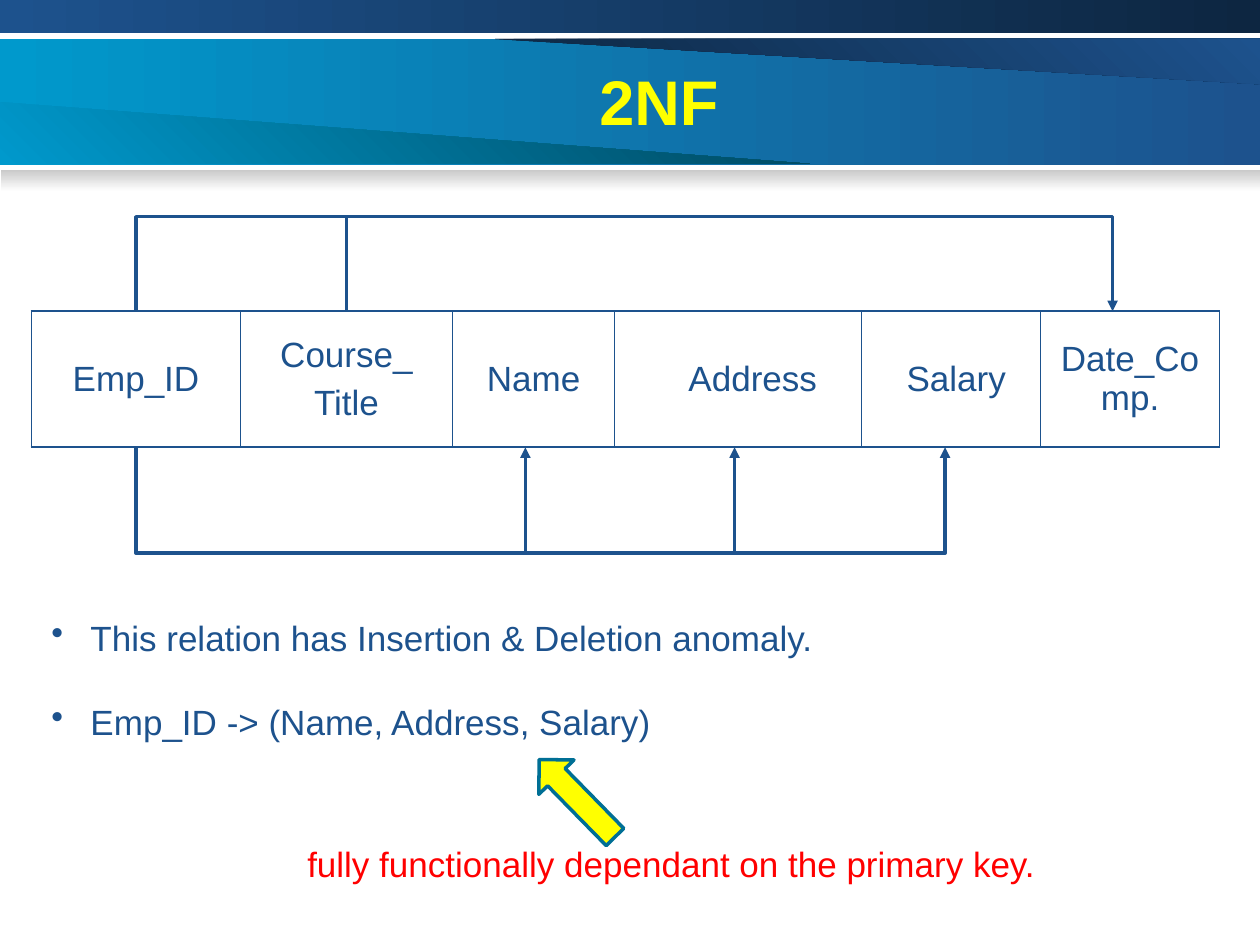
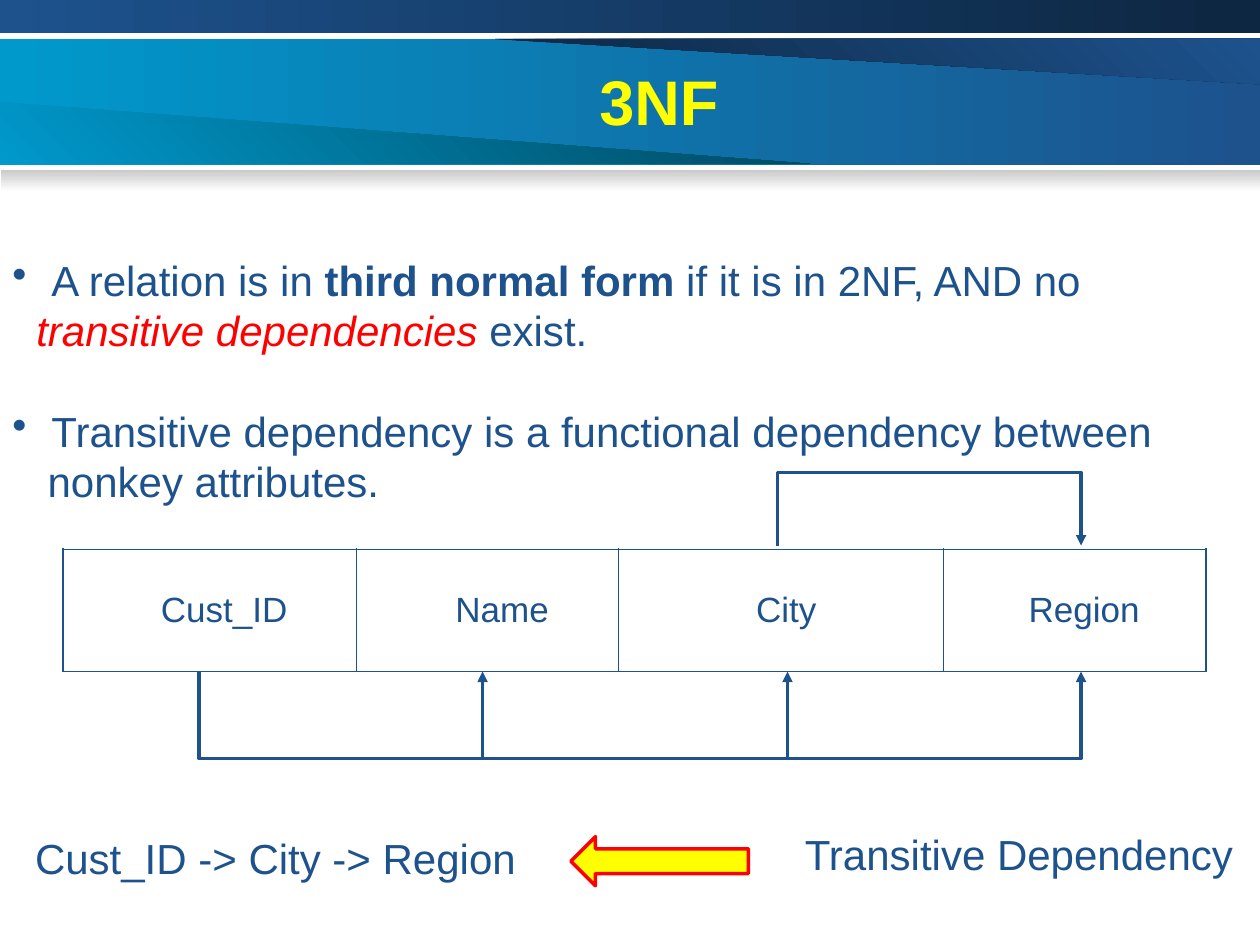
from lxml import etree
from pptx import Presentation
from pptx.dml.color import RGBColor
from pptx.enum.shapes import MSO_CONNECTOR, MSO_SHAPE
from pptx.enum.text import MSO_ANCHOR, PP_ALIGN
from pptx.oxml.ns import qn
from pptx.util import Inches, Pt

RECT, RIGHT_ARROW = MSO_SHAPE.RECTANGLE, MSO_SHAPE.RIGHT_ARROW
STRAIGHT = MSO_CONNECTOR.STRAIGHT
LEFT, CENTER = PP_ALIGN.LEFT, PP_ALIGN.CENTER
MIDDLE = MSO_ANCHOR.MIDDLE

BLUE = RGBColor(0x1D, 0x52, 0x8D)
NAVY = RGBColor(0x0D, 0x26, 0x41)
CYAN = RGBColor(0x00, 0x99, 0xCC)
DEEP_TEAL = RGBColor(0x00, 0x47, 0x5E)
TEAL = RGBColor(0x00, 0x6F, 0x95)
GREY = RGBColor(0xCA, 0xCA, 0xCA)
WHITE = RGBColor(0xFF, 0xFF, 0xFF)
YELLOW = RGBColor(0xFF, 0xFF, 0x00)
RED = RGBColor(0xFF, 0x00, 0x00)

FONT = "Arial"
WIDTH, HEIGHT = 10, 7.5
LINE_SPACING = 1.2
HANG = 0.31          # bullet to text
CELL_GAP = Pt(5)     # between paragraphs of a cell
INSET = 0.1
OUTER, INNER = 1.08, 0.45   # table border widths in points

# Header parts: outline, start colour, end colour, counter-clockwise angle
HEADER_BARS = [
    ((0, 0.31, WIDTH, 1), CYAN, BLUE, 0),
    ((0, 0, WIDTH, 0.26), BLUE, NAVY, 0),
    ((0.01, 1.35, WIDTH - 0.01, 0.17), GREY, WHITE, 270),
]
HEADER_WEDGES = [
    ([(3.93, 0.31), (10, 0.67), (10, 0.31)], NAVY, BLUE, 45),
    ([(0, 1.3), (6.43, 1.3), (0, 0.81)], CYAN, DEEP_TEAL, 45),
]
TITLE_BOX = (0.7, 0.45, 9.06, 0.7)

# Run: (text, colour, style).  Paragraph: (bulleted, indent, blank lines before, runs)
# Cell: (lines, extra left margin).  Route: edge, bar, start, end, taps, taps have heads
SLIDES = [
    {
        "title": "2NF",
        "table": {
            "at": (0.25, 2.47), "height": 1.08,
            "cols": [1.66, 1.68, 1.29, 1.96, 1.42, 1.42],
            "cells": [(["Emp_ID"], 0), (["Course_", "Title"], 0), (["Name"], 0),
                      (["Address"], 0.23), (["Salary"], 0.08), (["Date_Comp."], 0)],
        },
        "routes": [
            (2.47, 1.72, 1.08, 8.83, [2.75], False),
            (3.55, 4.39, 1.08, 7.5, [4.17, 5.83], True),
        ],
        "texts": [
            ((0.31, 4.84, 9.45, 1.1), 20, [
                (True, HANG, 0, [("This relation has Insertion & Deletion anomaly.", BLUE, "")]),
                (True, HANG, 1, [("Emp_ID -> (Name, Address, Salary)", BLUE, "")]),
            ]),
            ((2.34, 6.64, 7.11, 0.44), 20, [
                (False, 0, 0, [("fully functionally dependant on the primary key.", RED, "")]),
            ]),
        ],
        "pointer": ((4.15, 6.14, 0.86, 0.39), 225.6, TEAL),
    },
    {
        "title": "3NF",
        "table": {
            "at": (0.5, 4.36), "height": 0.97,
            "cols": [2.33, 2.08, 2.58, 2.08],
            "cells": [(["Cust_ID"], 0.23), (["Name"], 0.23),
                      (["City"], 0.08), (["Region"], 0.15)],
        },
        "routes": [
            (5.33, 6.02, 1.58, 8.58, [3.83, 6.25], True),
            (4.33, 3.75, 6.17, 8.58, [], True),
        ],
        "texts": [
            ((0, 1.97, 9.92, 2.1), 24, [
                (True, HANG, 0, [("A relation is in ", BLUE, ""),
                                 ("third normal form", BLUE, "b"),
                                 (" if it is in 2NF, AND no", BLUE, "")]),
                (False, 0.19, 0, [("transitive dependencies", RED, "i"),
                                  (" exist.", BLUE, "")]),
                (True, HANG, 1, [("Transitive dependency is a functional dependency between",
                                  BLUE, "")]),
                (False, 0.28, 0, [("nonkey attributes.", BLUE, "")]),
            ]),
            ((0.18, 6.56, 4.1, 0.5), 24, [
                (False, 0, 0, [("Cust_ID -> City -> Region", BLUE, "")]),
            ]),
            ((6.29, 6.53, 3.7, 0.5), 24, [
                (False, 0, 0, [("Transitive Dependency", BLUE, "")]),
            ]),
        ],
        "pointer": ((4.53, 6.64, 1.41, 0.39), 180, RED),
    },
]


def inches(values):
    return [Inches(v) for v in values]


def add_run(p, text, size, color, style=""):
    r = p.add_run()
    r.text = text
    r.font.name = FONT
    r.font.size = Pt(size)
    r.font.color.rgb = color
    r.font.bold = "b" in style
    r.font.italic = "i" in style


def set_bullet(p):
    pPr = p._p.get_or_add_pPr()
    color = etree.SubElement(pPr, qn("a:buClr"))
    etree.SubElement(color, qn("a:srgbClr")).set("val", str(BLUE))
    etree.SubElement(pPr, qn("a:buChar")).set("char", "•")


def add_text(s, box, size, paragraphs, align=LEFT):
    tf = s.shapes.add_textbox(*inches(box)).text_frame
    tf.word_wrap = True
    for i, (bulleted, indent, blank_lines, runs) in enumerate(paragraphs):
        p = tf.add_paragraph() if i else tf.paragraphs[0]
        p.alignment = align
        p.line_spacing = Pt(size * LINE_SPACING)
        if blank_lines:
            p.space_before = Pt(size * LINE_SPACING * blank_lines)
        pPr = p._p.get_or_add_pPr()
        pPr.set("marL", str(Inches(indent)))
        pPr.set("indent", str(-Inches(indent) if bulleted else 0))
        if bulleted:
            set_bullet(p)
        for text, color, style in runs:
            add_run(p, text, size, color, style)


def set_gradient(sp, start, end, angle):
    sp.shadow.inherit = False
    sp.line.fill.background()
    sp.fill.gradient()
    sp.fill.gradient_angle = angle
    for stop, color in zip(sp.fill.gradient_stops, (start, end)):
        stop.color.rgb = color


def add_path(s, points, close):
    first, *rest = [inches(pt) for pt in points]
    builder = s.shapes.build_freeform(*first)
    builder.add_line_segments(rest, close=close)
    sp = builder.convert_to_shape()
    sp.shadow.inherit = False
    return sp


def add_header(s, title):
    band, *strips = HEADER_BARS
    set_gradient(s.shapes.add_shape(RECT, *inches(band[0])), *band[1:])
    for points, *colors in HEADER_WEDGES:
        set_gradient(add_path(s, points, True), *colors)
    for box, *colors in strips:
        set_gradient(s.shapes.add_shape(RECT, *inches(box)), *colors)
    add_text(s, TITLE_BOX, 36, [(False, 0, 0, [(title, YELLOW, "b")])], CENTER)


def set_borders(cell, widths):
    """Draw the left, right, top and bottom borders, widths in points."""
    tcPr = cell._tc.get_or_add_tcPr()
    for i, (side, width) in enumerate(zip("LRTB", widths)):
        ln = etree.Element(qn(f"a:ln{side}"), w=str(Pt(width)))
        fill = etree.SubElement(ln, qn("a:solidFill"))
        etree.SubElement(fill, qn("a:srgbClr")).set("val", str(BLUE))
        tcPr.insert(i, ln)


def add_relation(s, at, height, cols, cells):
    frame = s.shapes.add_table(1, len(cols), *inches((*at, sum(cols), height)))
    table = frame.table
    table.first_row = table.horz_banding = False
    table.rows[0].height = Inches(height)
    last = len(cols) - 1
    for i, (width, (lines, shift)) in enumerate(zip(cols, cells)):
        table.columns[i].width = Inches(width)
        cell = table.cell(0, i)
        cell.fill.solid()
        cell.fill.fore_color.rgb = WHITE
        cell.vertical_anchor = MIDDLE
        cell.margin_left = Inches(INSET + shift)
        set_borders(cell, (INNER if i else OUTER, OUTER if i == last else INNER,
                           OUTER, OUTER))
        for n, line in enumerate(lines):
            p = cell.text_frame.add_paragraph() if n else cell.text_frame.paragraphs[0]
            p.alignment = CENTER
            if n:
                p.space_before = CELL_GAP
            add_run(p, line, 20, BLUE)


def style_line(sp, head):
    sp.line.color.rgb = BLUE
    sp.line.width = Pt(2)
    if head:
        etree.SubElement(sp.line._get_or_add_ln(), qn("a:tailEnd")).set("type", "triangle")


def add_route(s, edge, bar, start, end, taps, tap_heads):
    """Bracket from one column to another, with taps joining its bar to the table."""
    sp = add_path(s, [(start, edge), (start, bar), (end, bar), (end, edge)], False)
    sp.fill.background()
    style_line(sp, True)
    for x in taps:
        tap = s.shapes.add_connector(STRAIGHT, *inches((x, bar, x, edge)))
        style_line(tap, tap_heads)
        etree.SubElement(tap._element.spPr, qn("a:effectLst"))


def add_pointer(s, box, rotation, outline):
    sp = s.shapes.add_shape(RIGHT_ARROW, *inches(box))
    sp.shadow.inherit = False
    sp.rotation = rotation
    sp.fill.solid()
    sp.fill.fore_color.rgb = YELLOW
    sp.line.color.rgb = outline
    sp.line.width = Pt(2)


def main():
    prs = Presentation()
    prs.slide_width, prs.slide_height = inches((WIDTH, HEIGHT))
    for content in SLIDES:
        s = prs.slides.add_slide(prs.slide_layouts[6])
        add_header(s, content["title"])
        add_relation(s, **content["table"])
        for route in content["routes"]:
            add_route(s, *route)
        for box, size, paragraphs in content["texts"]:
            add_text(s, box, size, paragraphs)
        add_pointer(s, *content["pointer"])
    prs.save("out.pptx")


if __name__ == "__main__":
    main()
